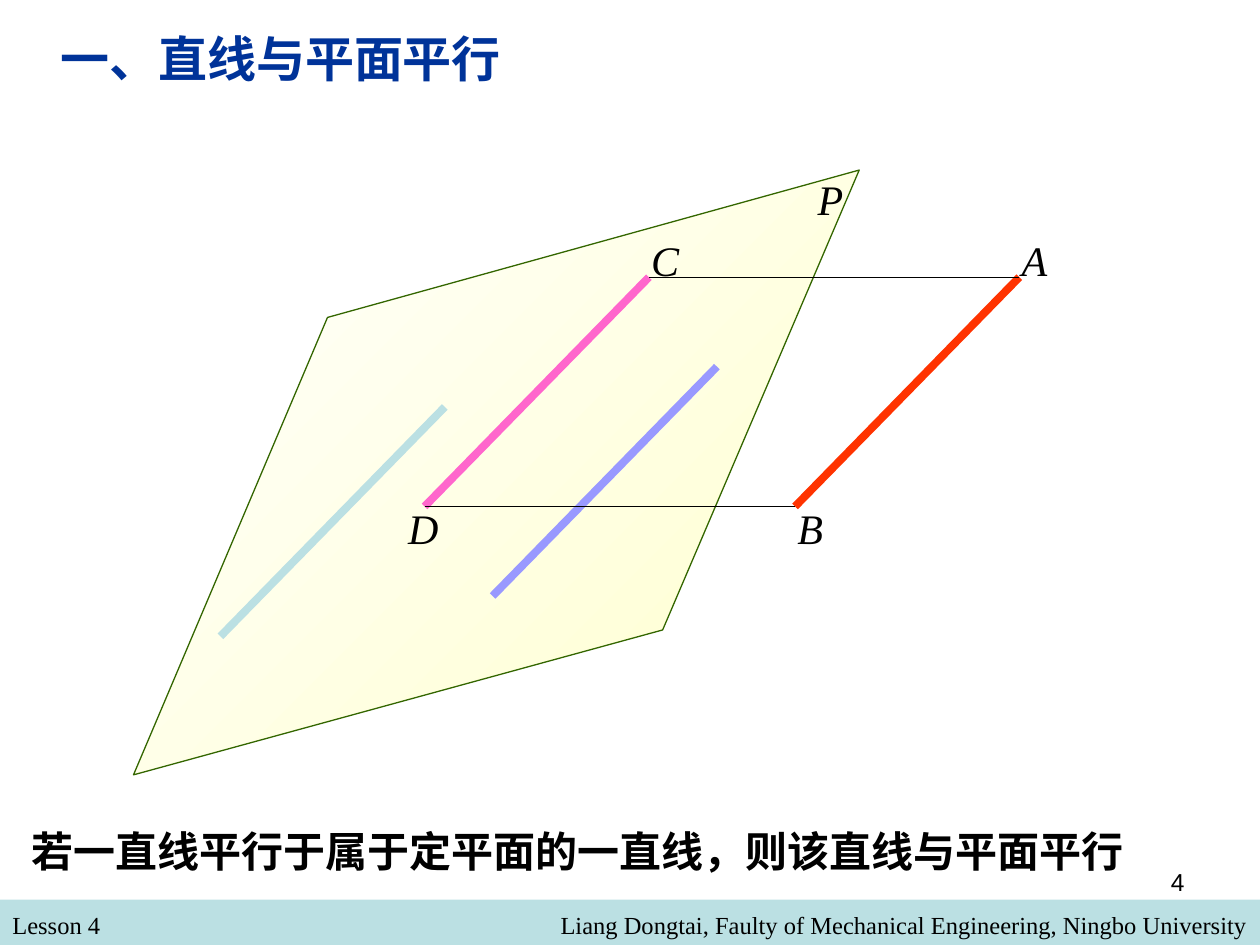
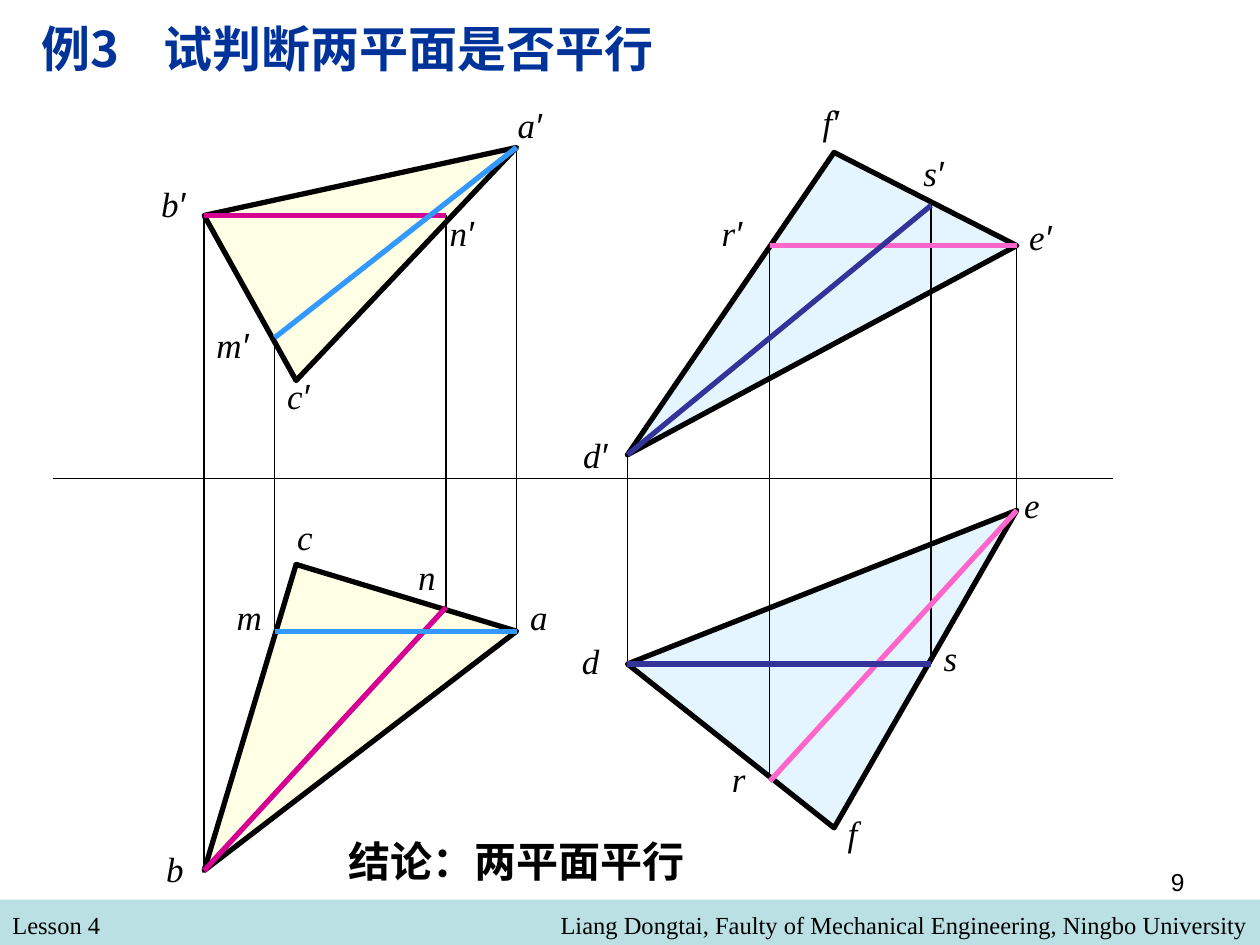
from lxml.etree import SubElement
from pptx import Presentation
from pptx.dml.color import RGBColor
from pptx.enum.shapes import MSO_CONNECTOR, MSO_SHAPE
from pptx.enum.text import MSO_ANCHOR, MSO_AUTO_SIZE, PP_ALIGN
from pptx.oxml.ns import qn
from pptx.util import Inches, Pt

W, H = 10, 7.5
TITLE_ONLY = 5
SERIF, SANS, CJK = "Times New Roman", "Arial", "Noto Sans CJK SC"
COLORS = {
    "ink": "000000", "title": "003399", "band": "BBE0E3", "white": "FFFFFF",
    "cream": "FFFFCC", "sky": "CCECFF", "olive": "336600", "lilac": "9999FF",
    "red": "FF3300", "pink": "FF66CC", "navy": "333399", "magenta": "D60093",
    "blue": "3399FF",
}
FOOTER_LEFT = "Lesson 4"
FOOTER_RIGHT = "Liang Dongtai, Faulty of Mechanical Engineering, Ningbo University"

PARALLEL_LINE = {
    "title": "一、直线与平面平行",
    "number": "4",
    "caption": "若一直线平行于属于定平面的一直线，则该直线与平面平行",
    "plane": [(2.6, 2.52), (1.06, 6.15), (5.26, 5), (6.82, 1.35)],
    "direction": (-1.78, 1.82),
    "parallels": [((3.53, 3.23), "band"), ((5.69, 2.91), "lilac"),
                  ((8.09, 2.2), "red"), ((5.15, 2.2), "pink")],
    "links": [((8.09, 2.2), (5.15, 2.2)), ((3.37, 4.02), (6.31, 4.02))],
    "labels": [("P", 6.39, 1.33), ("C", 5.07, 1.81), ("D", 3.14, 3.94),
               ("B", 6.23, 3.94), ("A", 8.01, 1.81)],
}

PARALLEL_PLANES = {
    "title": "例3\t试判断两平面是否平行",
    "title_tab": 0.97,
    "number": "9",
    "caption": "结论：两平面平行",
    "axis": ((0.42, 3.8), (8.83, 3.8)),
    "points": {
        "a": (4.1, 1.17, 5.01), "b": (1.62, 1.71, 6.91), "c": (2.35, 3.02, 4.48),
        "m": (2.18, 2.68, 5.01), "n": (3.54, 1.71, 4.82),
        "d": (4.98, 3.61, 5.27), "e": (8.07, 1.95, 4.05), "f": (6.62, 1.21, 6.57),
        "r": (6.11, 1.95, 6.2), "s": (7.39, 1.63, 5.27),
    },
    "faces": [("def", "sky"), ("abc", "cream")],
    "projectors": "abmnders",
    "cuts": [("er", "pink"), ("ds", "navy"), ("bn", "magenta"), ("am", "blue")],
    "labels": {
        "a": ((4.01, 0.77), (4.11, 4.68)), "b": ((1.18, 1.4), (1.22, 6.68)),
        "c": ((2.18, 2.92), (2.26, 4.04)), "m": ((1.62, 2.52), (1.78, 4.68)),
        "n": ((3.47, 1.63), (3.22, 4.36)), "d": ((4.53, 3.39), (4.52, 5.03)),
        "e": ((8.07, 1.66), (8.03, 3.79)), "f": ((6.43, 0.75), (6.63, 6.39)),
        "r": ((5.63, 1.63), (5.71, 5.96)), "s": ((7.23, 1.15), (7.39, 5)),
    },
}


def rgb(color):
    return RGBColor.from_string(COLORS[color])


def style(r, font, size, color="ink", bold=False, italic=False):
    r.font.name, r.font.size = font, Pt(size)
    r.font.bold, r.font.italic = bold, italic
    r.font.color.rgb = rgb(color)
    SubElement(r._r.get_or_add_rPr(), qn("a:ea"), typeface=CJK)


def add_text(s, runs, x, y, w, h, size, align=PP_ALIGN.LEFT, **look):
    sp = s.shapes.add_textbox(*map(Inches, (x, y, w, h)))
    tf = sp.text_frame
    tf.word_wrap = True
    p = tf.paragraphs[0]
    p.alignment = align
    for text, font in runs:
        r = p.add_run()
        r.text = text
        style(r, font, size, **look)


def add_line(s, start, end, color="ink", width=0.75):
    ends = [Inches(v) for v in (*start, *end)]
    line = s.shapes.add_connector(MSO_CONNECTOR.STRAIGHT, *ends)
    line.line.color.rgb = rgb(color)
    line.line.width = Pt(width)
    SubElement(line._element.spPr, qn("a:effectLst"))


def add_polygon(s, points, line_color, width):
    corners = [(Inches(x), Inches(y)) for x, y in points]
    builder = s.shapes.build_freeform(*corners[0])
    builder.add_line_segments(corners[1:], close=True)
    sp = builder.convert_to_shape()
    sp.shadow.inherit = False
    sp.line.color.rgb = rgb(line_color)
    sp.line.width = Pt(width)
    return sp


def add_base(prs, content, x, y, w, font):
    s = prs.slides.add_slide(prs.slide_layouts[TITLE_ONLY])
    band = s.shapes.add_shape(MSO_SHAPE.RECTANGLE, 0, Inches(H - 0.36),
                              Inches(W), Inches(0.36))
    band.shadow.inherit = False
    band.fill.solid()
    band.fill.fore_color.rgb = rgb("band")
    band.line.fill.background()
    add_text(s, [(FOOTER_LEFT, SERIF)], 0, 7.17, 4.83, 0.34, 14)
    add_text(s, [(FOOTER_RIGHT, SERIF)], 1.83, 7.17, 8.17, 0.34, 14, PP_ALIGN.RIGHT)
    add_text(s, [(content["number"], SANS)], 7.17, 6.83, 2.33, 0.52, 14, PP_ALIGN.RIGHT)

    title = s.shapes.title
    title.left, title.top, title.width, title.height = map(Inches, (x, y, w, 0.57))
    tf = title.text_frame
    tf.text = content["title"]
    tf.word_wrap = False
    tf.auto_size = MSO_AUTO_SIZE.NONE
    tf.vertical_anchor = MSO_ANCHOR.TOP
    p = tf.paragraphs[0]
    p.alignment = PP_ALIGN.LEFT
    if "title_tab" in content:
        tabs = SubElement(p._p.get_or_add_pPr(), qn("a:tabLst"))
        SubElement(tabs, qn("a:tab"), pos=str(Inches(content["title_tab"])), algn="l")
    for r in p.runs:
        style(r, font, 28, "title", bold=True)
    return s


def build_parallel_line(prs):
    c = PARALLEL_LINE
    s = add_base(prs, c, 0.38, 0.18, 4, SANS)
    add_text(s, [(c["caption"], CJK)], 0.15, 6.5, W - 0.15, 0.5, 24, bold=True)
    plane = add_polygon(s, c["plane"], "olive", 0.75)
    plane.fill.gradient()
    plane.fill.gradient_angle = 315
    for stop, color in zip(plane.fill.gradient_stops, ("white", "cream")):
        stop.color.rgb = rgb(color)
    dx, dy = c["direction"]
    for (x, y), color in c["parallels"]:
        add_line(s, (x, y), (x + dx, y + dy), color, 4.5)
    for start, end in c["links"]:
        add_line(s, start, end)
    for name, x, y in c["labels"]:
        add_text(s, [(name, SERIF)], x, y, 0.46, 0.5, 24, italic=True)


def build_parallel_planes(prs):
    c = PARALLEL_PLANES
    s = add_base(prs, c, 0.23, 0.1, 5.36, CJK)
    front = {name: (x, y) for name, (x, y, _) in c["points"].items()}
    top = {name: (x, y) for name, (x, _, y) in c["points"].items()}
    views = (front, top)
    add_line(s, *c["axis"])
    for names, color in c["faces"]:
        for view in views:
            face = add_polygon(s, [view[name] for name in names], "ink", 3)
            face.fill.solid()
            face.fill.fore_color.rgb = rgb(color)
            srgb = face._element.spPr.find(qn("a:solidFill")).find(qn("a:srgbClr"))
            SubElement(srgb, qn("a:alpha"), val="50000")
    for name in c["projectors"]:
        add_line(s, front[name], top[name])
    for (start, end), color in c["cuts"]:
        for view in views:
            add_line(s, view[start], view[end], color, 3)
    for name, places in c["labels"].items():
        for (x, y), prime in zip(places, ([("′", SANS)], [])):
            add_text(s, [(name, SERIF)] + prime, x, y, 0.64, 0.44, 20, italic=True)
    add_text(s, [(c["caption"], CJK)], 2.67, 6.58, 3.85, 0.5, 24, bold=True)


def main():
    prs = Presentation()
    prs.slide_width, prs.slide_height = Inches(W), Inches(H)
    build_parallel_line(prs)
    build_parallel_planes(prs)
    prs.save("out.pptx")


if __name__ == "__main__":
    main()
